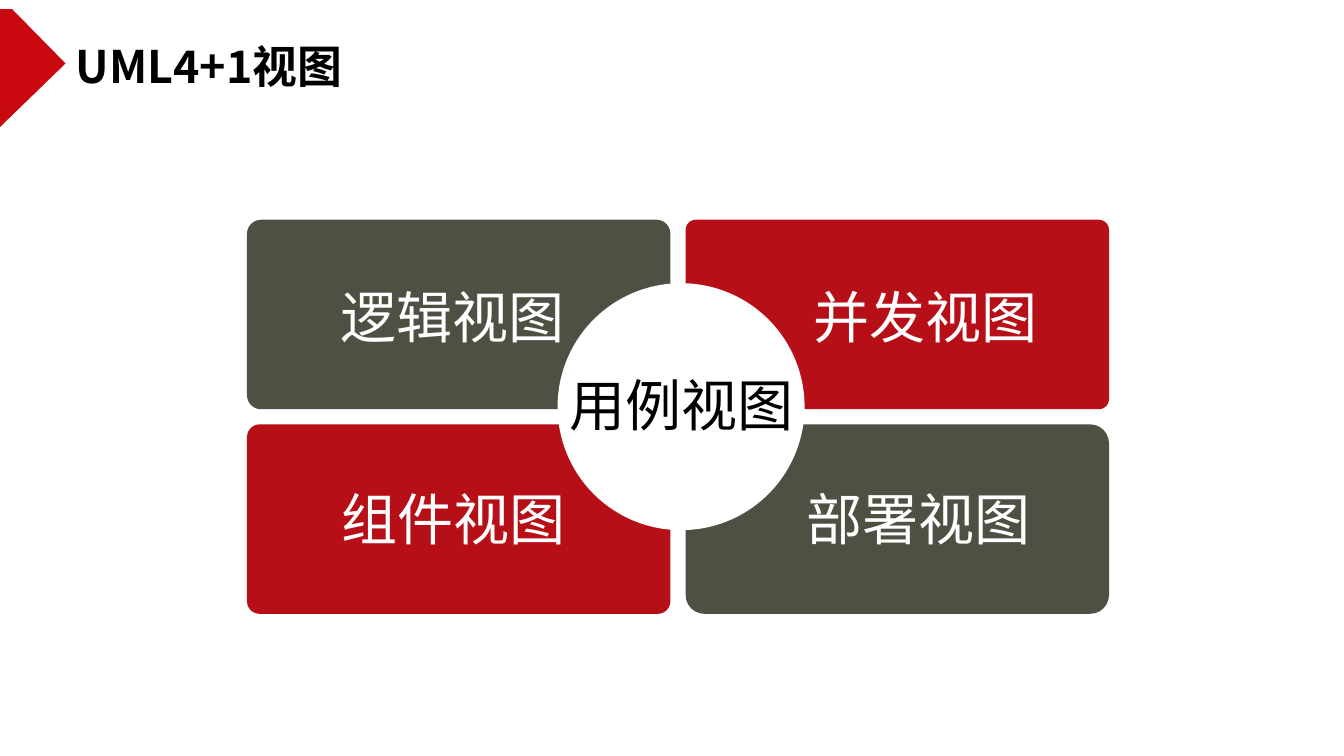
import pptx
import pptx.util
import pptx.dml.color
import pptx.enum.shapes
import pptx.enum.text
import lxml.etree
from pptx.util import Inches

TITLE = "UML4+1视图"
CENTRE_VIEW = ("用例视图", 5.05, 3.62)
VIEWS = [
    {"label": "逻辑视图", "colour": "dark", "corner": 0.074, "label_at": (2.78, 2.75)},
    {"label": "并发视图", "colour": "red", "corner": 0.054, "label_at": (7.47, 2.75)},
    {"label": "组件视图", "colour": "red", "corner": 0.067, "label_at": (2.79, 4.76)},
    {"label": "部署视图", "colour": "dark", "corner": 0.1, "label_at": (7.4, 4.76)},
]
MARKER_POINTS = [(0, 0.09), (0, 1.26), (0.65, 0.63), (0.12, 0.09)]

THEME = {
    "marker": "CA0810",
    "dark": "504F43",
    "red": "B70F17",
    "white": "FFFFFF",
    "black": "000000",
    "title_size": 32,
    "label_size": 40,
    "title_font": "Noto Sans CJK SC",
    "label_font": "Calibri",
    "asian_font": "Noto Sans CJK SC",
}

GRID_LEFT, GRID_TOP = 2.45, 2.18
CARD_WIDTH, CARD_HEIGHT = 4.2, 1.88
GAP = 0.15
CIRCLE_LEFT, CIRCLE_TOP, CIRCLE_SIZE = 5.53, 2.81, 2.45
LABEL_WIDTH, LABEL_HEIGHT = 3.42, 0.77


def colour_of(name):
    return pptx.dml.color.RGBColor.from_string(THEME[name])


def paint(shape, colour):
    shape.shadow.inherit = False
    shape.fill.solid()
    shape.fill.fore_color.rgb = colour_of(colour)
    shape.line.fill.background()


def write_text(shape, text, size, font, colour, alignment, bold=False):
    text_frame = shape.text_frame
    text_frame.text = text
    text_frame.word_wrap = True
    text_frame.auto_size = pptx.enum.text.MSO_AUTO_SIZE.NONE
    text_frame.vertical_anchor = pptx.enum.text.MSO_ANCHOR.MIDDLE
    paragraph = text_frame.paragraphs[0]
    paragraph.alignment = alignment
    run = paragraph.runs[0]
    run.font.size = pptx.util.Pt(THEME[size])
    run.font.name = THEME[font]
    run.font.bold = bold
    run.font.color.rgb = colour_of(colour)
    asian = lxml.etree.SubElement(run.font._element, pptx.oxml.ns.qn("a:ea"))
    asian.set("typeface", THEME["asian_font"])


def add_label(slide, text, left, top, colour):
    label = slide.shapes.add_textbox(
        Inches(left), Inches(top), Inches(LABEL_WIDTH), Inches(LABEL_HEIGHT)
    )
    write_text(label, text, "label_size", "label_font", colour,
               pptx.enum.text.PP_ALIGN.CENTER)


def add_title(slide):
    points = [(Inches(x), Inches(y)) for x, y in MARKER_POINTS]
    builder = slide.shapes.build_freeform(*points[0])
    builder.add_line_segments(points[1:], close=True)
    paint(builder.convert_to_shape(), "marker")

    title = slide.shapes.title
    title.left, title.top = Inches(0.65), Inches(0.33)
    title.width, title.height = Inches(5.56), Inches(0.64)
    write_text(title, TITLE, "title_size", "title_font", "black",
               pptx.enum.text.PP_ALIGN.LEFT, bold=True)


def add_views(slide):
    for index, view in enumerate(VIEWS):
        row, column = divmod(index, 2)
        card = slide.shapes.add_shape(
            pptx.enum.shapes.MSO_SHAPE.ROUNDED_RECTANGLE,
            Inches(GRID_LEFT + column * (CARD_WIDTH + GAP)),
            Inches(GRID_TOP + row * (CARD_HEIGHT + GAP)),
            Inches(CARD_WIDTH), Inches(CARD_HEIGHT),
        )
        card.adjustments[0] = view["corner"]
        paint(card, view["colour"])

    circle = slide.shapes.add_shape(
        pptx.enum.shapes.MSO_SHAPE.OVAL,
        Inches(CIRCLE_LEFT), Inches(CIRCLE_TOP),
        Inches(CIRCLE_SIZE), Inches(CIRCLE_SIZE),
    )
    paint(circle, "white")
    add_label(slide, *CENTRE_VIEW, "black")
    for view in VIEWS:
        add_label(slide, view["label"], *view["label_at"], "white")


def main():
    presentation = pptx.Presentation()
    presentation.slide_width = Inches(13.33)
    presentation.slide_height = Inches(7.5)
    slide = presentation.slides.add_slide(presentation.slide_layouts[5])
    add_title(slide)
    add_views(slide)
    presentation.save("out.pptx")


if __name__ == "__main__":
    main()
